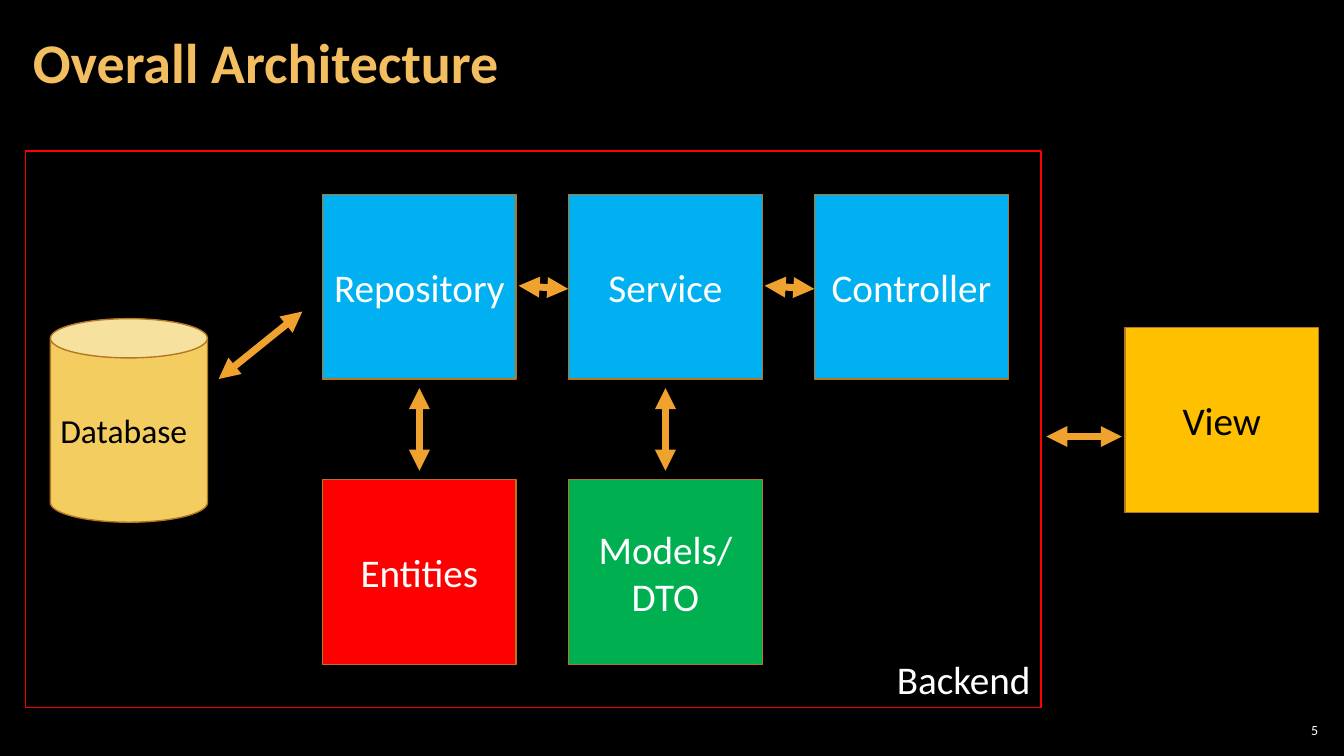
from lxml import etree
from pptx import Presentation
from pptx.dml.color import RGBColor
from pptx.enum import shapes, text
from pptx.oxml.ns import qn
from pptx.util import Cm, Pt

WHITE, BLACK, BLUE = "FFFFFF", "000000", "00B0F0"
BORDER, ARROW = "B27822", "F0A22E"
LEFT, CENTER, RIGHT = text.PP_ALIGN.LEFT, text.PP_ALIGN.CENTER, text.PP_ALIGN.RIGHT
MIDDLE = text.MSO_ANCHOR.MIDDLE


def write(frame, words, size, color, align=LEFT, bold=False):
    paragraph = frame.paragraphs[0]
    paragraph.alignment = align
    for i, line in enumerate(words.split("\n")):
        if i:
            paragraph.add_line_break()
        run = paragraph.add_run()
        run.text = line
        run.font.name, run.font.size, run.font.bold = "Calibri", Pt(size), bold
        run.font.color.rgb = RGBColor.from_string(color)
    return paragraph


def add_block(kind, left, top, width, height, fill, border):
    block = slide.shapes.add_shape(kind, Cm(left), Cm(top), Cm(width), Cm(height))
    block.shadow.inherit = False
    if fill:
        block.fill.solid()
        block.fill.fore_color.rgb = RGBColor.from_string(fill)
    else:
        block.fill.background()
    block.line.color.rgb = RGBColor.from_string(border)
    block.line.width = Pt(1)
    block.text_frame.word_wrap = True
    block.text_frame.vertical_anchor = MIDDLE
    return block


deck = Presentation()
deck.slide_width, deck.slide_height = Cm(33.87), Cm(19.05)
slide = deck.slides.add_slide(deck.slide_layouts[5])
slide.background.fill.solid()
slide.background.fill.fore_color.rgb = RGBColor.from_string(BLACK)

# Title
title = slide.shapes.title
title.left, title.top, title.width, title.height = Cm(0.53), Cm(0.1), Cm(26.59), Cm(3.07)
heading = title.text_frame
heading.vertical_anchor = MIDDLE
heading.auto_size = text.MSO_AUTO_SIZE.NONE
heading.margin_left = heading.margin_right = Cm(0.3)
heading.margin_top = heading.margin_bottom = Cm(0.1)
write(heading, "Overall Architecture", 40, "F3BE60", bold=True).line_spacing = 0.9

# Backend frame and database
add_block(shapes.MSO_SHAPE.RECTANGLE, 0.64, 3.81, 25.6, 14.02, None, "FF0000")
database = add_block(shapes.MSO_SHAPE.CAN, 1.27, 8.03, 3.96, 5.13, "F3CD60", BORDER)
write(database.text_frame, "Database", 24, BLACK)

# Layers: three columns, two rows, and the view outside the backend
columns = [8.13 + 6.2 * i for i in range(3)]
upper, lower = 4.9, 12.09
box_width, box_height = 4.88, 4.65
layers = [
    ("Repository", columns[0], upper, BLUE, WHITE),
    ("Service", columns[1], upper, BLUE, WHITE),
    ("Controller", columns[2], upper, BLUE, WHITE),
    ("Entities", columns[0], lower, "FF0000", WHITE),
    ("Models/\nDTO", columns[1], lower, "00B050", WHITE),
    ("View", 28.35, 8.26, "FFC000", BLACK),
]
for name, left, top, fill, color in layers:
    layer = add_block(shapes.MSO_SHAPE.RECTANGLE, left, top, box_width, box_height, fill, BORDER)
    write(layer.text_frame, name, 28, color, CENTER)

# Two-way arrows
flows = [(5.51, 9.55, 7.62, 7.85), (26.37, 11, 28.27, 11)]
for column in columns[:2]:
    middle = column + box_width / 2
    flows.append((middle, 11.86, middle, 9.78))
    flows.append((column + 4.94, 7.2, column + 6.19, 7.28))
for x1, y1, x2, y2 in flows:
    flow = slide.shapes.add_connector(shapes.MSO_CONNECTOR.STRAIGHT, Cm(x1), Cm(y1), Cm(x2), Cm(y2))
    flow.line.color.rgb = RGBColor.from_string(ARROW)
    flow.line.width = Pt(5)
    outline = flow.line._get_or_add_ln()
    for end in ("a:headEnd", "a:tailEnd"):
        etree.SubElement(outline, qn(end), type="triangle")
    etree.SubElement(flow._element.spPr, qn("a:effectLst"))

# Backend label
backend = slide.shapes.add_textbox(Cm(22.35), Cm(16.38), Cm(3.91), Cm(1.45)).text_frame
backend.word_wrap = True
backend.auto_size = text.MSO_AUTO_SIZE.SHAPE_TO_FIT_TEXT
write(backend, "Backend", 28, WHITE)

# Page number
page = slide.shapes.add_textbox(Cm(32.13), Cm(18.14), Cm(1.19), Cm(0.53)).text_frame
page.word_wrap = True
page.vertical_anchor = MIDDLE
page.margin_left = page.margin_right = page.margin_top = page.margin_bottom = Cm(0.1)
write(page, "5", 10, WHITE, RIGHT)

deck.save("out.pptx")
